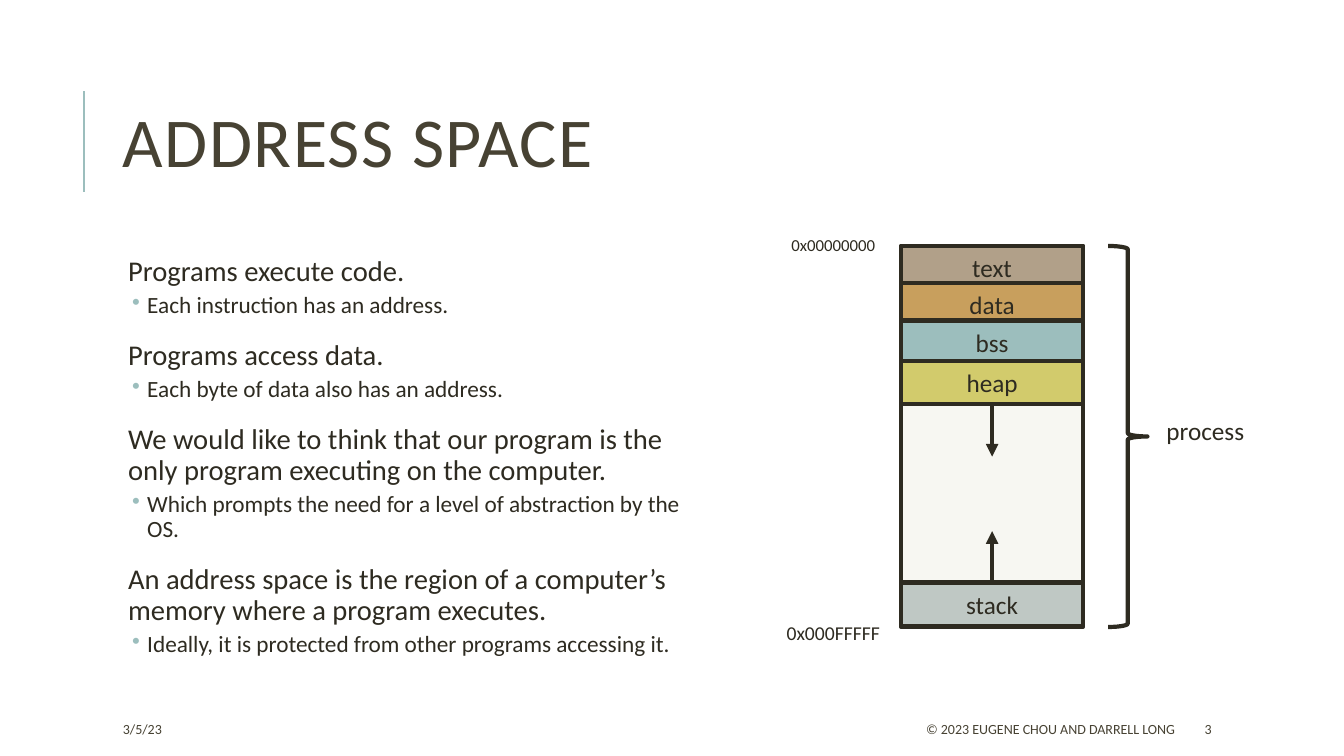
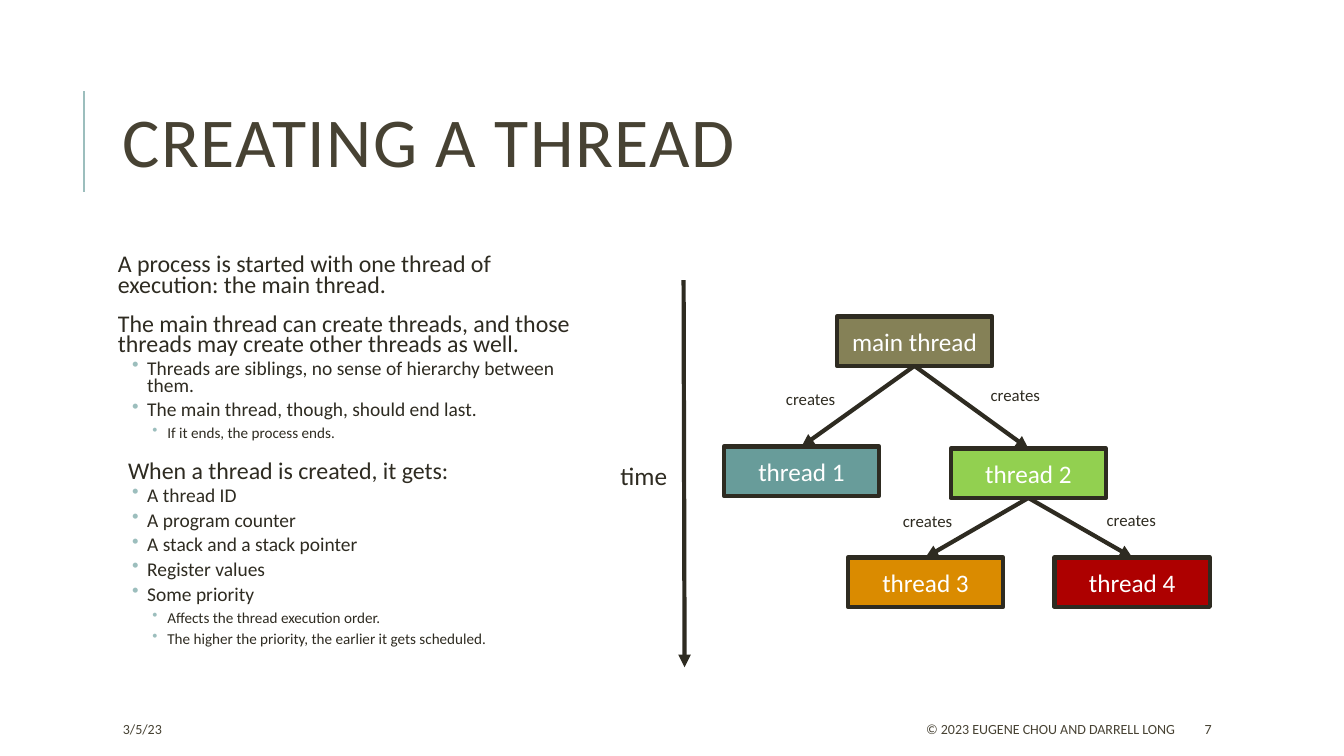
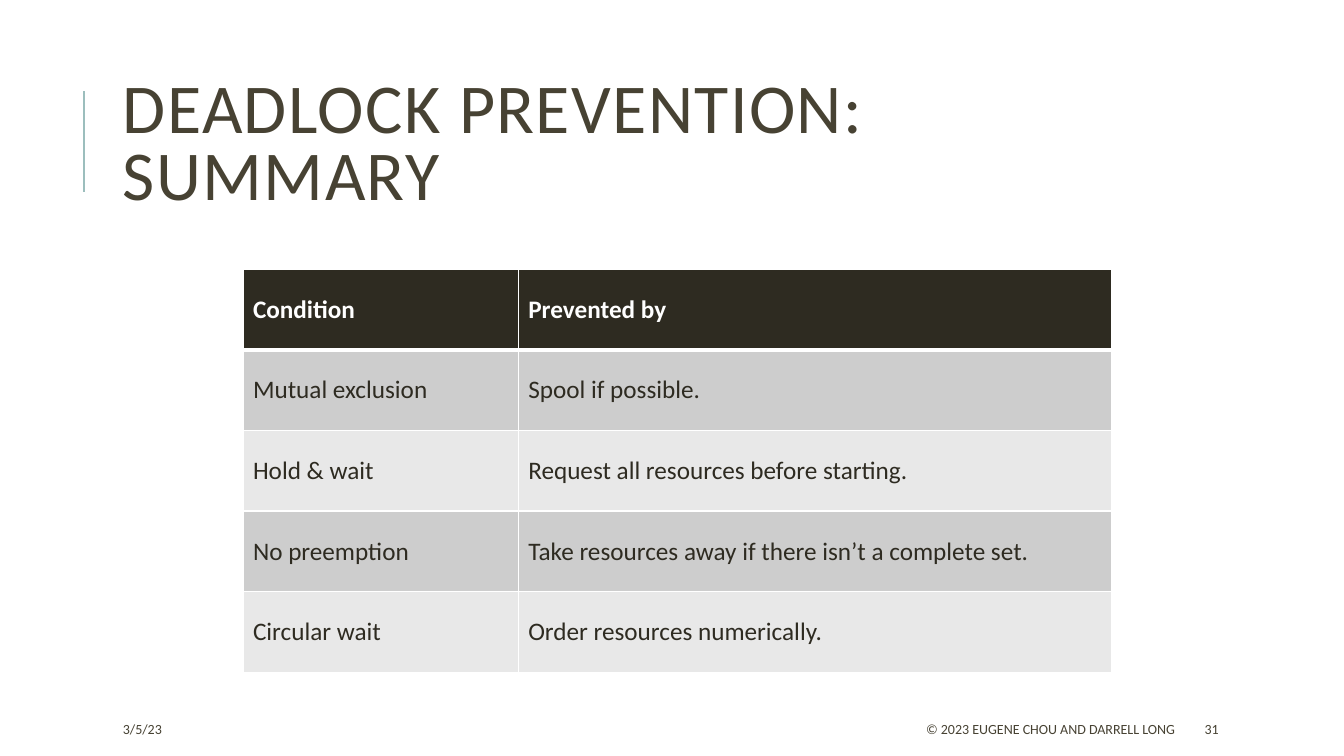
from dataclasses import dataclass

from lxml import etree
from pptx import Presentation
from pptx.dml.color import RGBColor
from pptx.enum.shapes import MSO_CONNECTOR, MSO_SHAPE
from pptx.enum.text import MSO_ANCHOR, PP_ALIGN
from pptx.oxml.ns import qn
from pptx.util import Emu, Pt


@dataclass(frozen=True)
class Theme:
    font: str = "Calibri"
    # Colours
    ink: str = "2E2B21"
    heading: str = "474233"
    accent: str = "9CBEBD"
    white: str = "FFFFFF"
    paper: str = "F7F7F2"
    bands: tuple = ("E8E8E8", "CDCDCD")
    # Type sizes and line widths in points
    title_size: float = 50
    label_size: float = 18
    address_size: float = 14
    small_size: float = 12
    footer_size: float = 10
    outline: float = 3
    rule: float = 1.5


THEME = Theme()

# Body paragraph kinds: outline level, left margin and hanging indent in px
PARAGRAPH_KINDS = {
    "flush": (0, 0, 0),
    "lead": (0, 10, 0),
    "point": (1, 29, 15),
    "detail": (2, 49, 15),
}
# Space before and after, by outline level
SPACING = ((12, 2), (2, 4), (2, 4))


def px(length):
    """One px is a hundredth of an inch."""
    return Emu(length * 9144)


def color(value):
    return RGBColor.from_string(value)


def apply(target, formats):
    for name, value in formats.items():
        setattr(target, name, value)


class Deck:
    def __init__(self, theme):
        self.theme = theme
        self.presentation = Presentation()
        apply(self.presentation, {"slide_width": px(1333), "slide_height": px(750)})
        self.slide = None

    # Shared frame of every slide
    def start_slide(self, title, number):
        theme = self.theme
        self.slide = self.presentation.slides.add_slide(self.presentation.slide_layouts[6])
        self.line((83, 190), (83, 90), theme.accent, theme.rule)
        run = self.text((112, 64, 1063, 164), title, theme.title_size, theme.heading,
                        PP_ALIGN.LEFT, MSO_ANCHOR.MIDDLE, 0.8)
        run.font._element.set("spc", "100")
        for left, width, words, align in (
            (112, 236, "3/5/23", PP_ALIGN.LEFT),
            (530, 645, "© 2023 EUGENE CHOU AND DARRELL LONG", PP_ALIGN.RIGHT),
            (1185, 106, str(number), PP_ALIGN.LEFT),
        ):
            self.text((left, 708, width, 30), words, theme.footer_size, theme.heading,
                      align, MSO_ANCHOR.MIDDLE)

    def add_words(self, paragraph, words, size, ink, bold=False):
        run = paragraph.add_run()
        run.text = words
        apply(run.font, {"name": self.theme.font, "size": Pt(size), "bold": bold})
        run.font.color.rgb = color(ink)
        return run

    def text(self, box, words, size, ink=THEME.ink, align=PP_ALIGN.CENTER,
             anchor=MSO_ANCHOR.TOP, line_spacing=None):
        frame = self.slide.shapes.add_textbox(*map(px, box)).text_frame
        apply(frame, {"word_wrap": True, "vertical_anchor": anchor})
        paragraph = frame.paragraphs[0]
        apply(paragraph, {"alignment": align, "line_spacing": line_spacing})
        return self.add_words(paragraph, words, size, ink)

    def body(self, width, items, sizes, line_spacing):
        frame = self.slide.shapes.add_textbox(*map(px, (112, 250, width, 440))).text_frame
        apply(frame, {"word_wrap": True, "margin_left": px(5), "margin_right": px(5),
                      "margin_top": px(5), "margin_bottom": px(5)})
        for index, (kind, words) in enumerate(items):
            paragraph = frame.add_paragraph() if index else frame.paragraphs[0]
            level, margin, hanging = PARAGRAPH_KINDS[kind]
            properties = paragraph._p.get_or_add_pPr()
            properties.set("marL", str(px(margin)))
            properties.set("indent", str(-px(hanging)))
            if level:
                bullet_color = etree.SubElement(properties, qn("a:buClr"))
                etree.SubElement(bullet_color, qn("a:srgbClr"), val=self.theme.accent)
                etree.SubElement(properties, qn("a:buChar"), char="•")
            before, after = SPACING[level]
            apply(paragraph, {"level": level, "line_spacing": line_spacing,
                              "space_before": Pt(before if index else 0),
                              "space_after": Pt(after)})
            self.add_words(paragraph, words, sizes[level], self.theme.ink)

    def shape(self, box, fill=None, words="", ink=THEME.ink, preset=MSO_SHAPE.RECTANGLE):
        shape = self.slide.shapes.add_shape(preset, *map(px, box))
        shape.shadow.inherit = False
        if fill:
            shape.fill.solid()
            shape.fill.fore_color.rgb = color(fill)
        else:
            shape.fill.background()
        shape.line.color.rgb = color(self.theme.ink)
        shape.line.width = Pt(self.theme.outline)
        if words:
            frame = shape.text_frame
            apply(frame, {"word_wrap": True, "vertical_anchor": MSO_ANCHOR.MIDDLE})
            frame.paragraphs[0].alignment = PP_ALIGN.CENTER
            self.add_words(frame.paragraphs[0], words, self.theme.label_size, ink)
        return shape

    def line(self, start, end, ink, width):
        connector = self.slide.shapes.add_connector(
            MSO_CONNECTOR.STRAIGHT, *map(px, (*start, *end)))
        connector.line.color.rgb = color(ink)
        connector.line.width = Pt(width)
        etree.SubElement(connector._element.spPr, qn("a:effectLst"))
        return connector

    def arrow(self, start, end):
        connector = self.line(start, end, self.theme.ink, self.theme.outline)
        outline = connector._element.spPr.find(qn("a:ln"))
        etree.SubElement(outline, qn("a:tailEnd"), type="triangle")
        return connector

    def link(self, parent, child):
        """Arrow from the bottom of one box to the top of another."""
        connector = self.arrow((0, 0), (0, 0))
        connector.begin_connect(parent, 2)
        connector.end_connect(child, 0)

    def table(self, left, top, widths, row_height, rows):
        theme = self.theme
        table = self.slide.shapes.add_table(
            len(rows), len(widths),
            *map(px, (left, top, sum(widths), row_height * len(rows)))).table
        for column, width in zip(table.columns, widths):
            column.width = px(width)
        for row_index, row in enumerate(rows):
            header = row_index == 0
            for column_index, words in enumerate(row):
                cell = table.cell(row_index, column_index)
                # The rule under the header belongs to both rows it parts
                self.cell_border(cell, {"L": 1, "R": 1, "T": 3 if row_index == 1 else 1,
                                        "B": 3 if header else 1})
                cell.fill.solid()
                cell.fill.fore_color.rgb = color(
                    theme.ink if header else theme.bands[row_index % 2])
                cell.vertical_anchor = MSO_ANCHOR.MIDDLE
                self.add_words(cell.text_frame.paragraphs[0], words, theme.label_size,
                               theme.white if header else theme.ink, header)

    def cell_border(self, cell, widths):
        properties = cell._tc.get_or_add_tcPr()
        for side, width in widths.items():
            border = etree.SubElement(properties, qn(f"a:ln{side}"), w=str(Pt(width)))
            fill = etree.SubElement(border, qn("a:solidFill"))
            etree.SubElement(fill, qn("a:srgbClr"), val=self.theme.white)


def address_space(deck):
    theme = deck.theme
    deck.start_slide("ADDRESS SPACE", 3)
    deck.body(579, (
        ("lead", "Programs execute code."),
        ("point", "Each instruction has an address."),
        ("lead", "Programs access data."),
        ("point", "Each byte of data also has an address."),
        ("lead", "We would like to think that our program is the only program "
                 "executing on the computer."),
        ("point", "Which prompts the need for a level of abstraction by the OS."),
        ("lead", "An address space is the region of a computer’s memory where "
                 "a program executes."),
        ("point", "Ideally, it is protected from other programs accessing it."),
    ), (20.4, 16.6), 0.9)

    # Memory segments inside the process
    deck.shape((894, 244, 180, 378), theme.paper)
    for top, name, fill in (
        (244, "text", "B1A089"),
        (281, "data", "C89F5D"),
        (318, "bss", theme.accent),
        (358, "heap", "D2CB6C"),
        (578, "stack", "BFC8C4"),
    ):
        deck.shape((894, top, 180, 43), fill, name)

    # Stack grows up, heap grows down
    deck.arrow((984, 578), (984, 527))
    deck.arrow((984, 401), (984, 453))

    # Address labels and brace
    deck.text((732, 611, 189, 34), "0x000FFFFF", theme.address_size)
    deck.text((732, 228, 189, 30), "0x00000000", theme.small_size)
    deck.shape((1099, 244, 39, 378), preset=MSO_SHAPE.RIGHT_BRACE)
    deck.text((1130, 407, 131, 40), "process", theme.label_size)


def creating_a_thread(deck):
    theme = deck.theme
    deck.start_slide("CREATING A THREAD", 7)
    deck.body(468, (
        ("flush", "A process is started with one thread of execution: the main thread."),
        ("flush", "The main thread can create threads, and those threads may create "
                  "other threads as well."),
        ("point", "Threads are siblings, no sense of hierarchy between them."),
        ("point", "The main thread, though, should end last."),
        ("detail", "If it ends, the process ends."),
        ("lead", "When a thread is created, it gets:"),
        ("point", "A thread ID"),
        ("point", "A program counter"),
        ("point", "A stack and a stack pointer"),
        ("point", "Register values"),
        ("point", "Some priority"),
        ("detail", "Affects the thread execution order."),
        ("detail", "The higher the priority, the earlier it gets scheduled."),
    ), (17.1, 13.9, 10.8), 0.7)

    # Thread tree
    threads = {
        name: deck.shape((left, top, 154, 49), fill, name, theme.white)
        for name, left, top, fill in (
            ("main thread", 830, 314, "858157"),
            ("thread 1", 718, 443, "689C9A"),
            ("thread 2", 943, 445, "92D050"),
            ("thread 3", 841, 553, "DA8B00"),
            ("thread 4", 1046, 553, "AD0000"),
        )
    }
    for parent, child, left, top in (
        ("main thread", "thread 1", 740, 381),
        ("main thread", "thread 2", 943, 377),
        ("thread 2", "thread 3", 856, 502),
        ("thread 2", "thread 4", 1058, 501),
    ):
        deck.link(threads[parent], threads[child])
        deck.text((left, top, 128, 30), "creates", theme.small_size)

    # Time axis
    deck.arrow((678, 278), (679, 662))
    deck.text((601, 452, 75, 40), "time", theme.label_size)


def deadlock_prevention(deck):
    deck.start_slide("DEADLOCK PREVENTION: SUMMARY", 31)
    deck.table(241, 267, (273, 589), 80, (
        ("Condition", "Prevented by"),
        ("Mutual exclusion", "Spool if possible."),
        ("Hold & wait", "Request all resources before starting."),
        ("No preemption", "Take resources away if there isn’t a complete set."),
        ("Circular wait", "Order resources numerically."),
    ))


def main():
    deck = Deck(THEME)
    for build in (address_space, creating_a_thread, deadlock_prevention):
        build(deck)
    deck.presentation.save("out.pptx")


if __name__ == "__main__":
    main()
